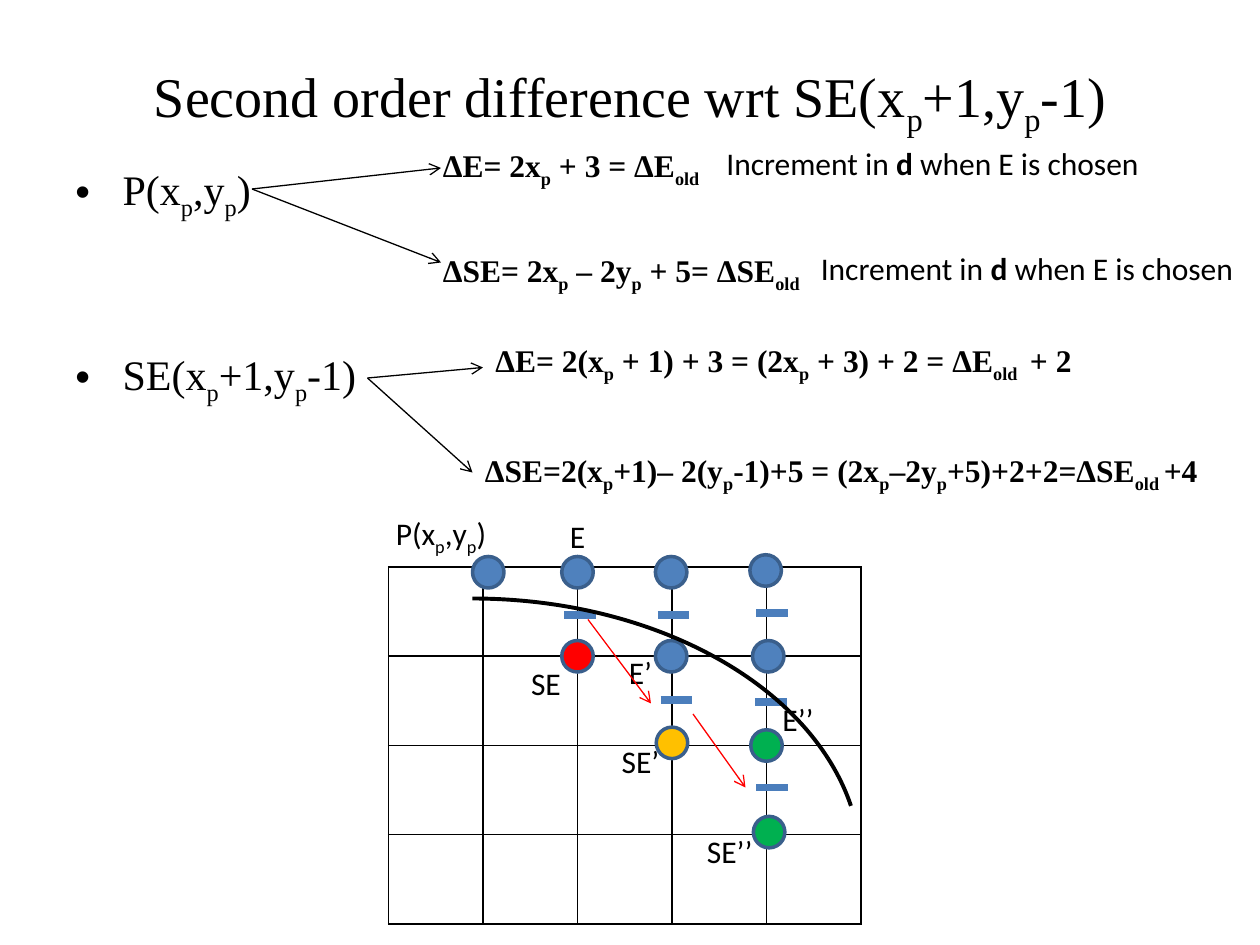
from lxml import etree
from pptx import Presentation
from pptx import util as u
from pptx.dml.color import RGBColor
from pptx.enum import shapes, text
from pptx.oxml.ns import qn

SERIF, SANS = "Times New Roman", "Calibri"
BLACK, BLUE, RED, GREEN, AMBER = "000000", "4F81BD", "FF0000", "00B050", "FFC000"
OUTLINE, TICK = "3A5F8C", "4B7EBC"

# Content: pieces between bars are subscripts, or bold in the notes
TITLE = "Second order difference wrt SE(x|p|+1,y|p|-1)"
POINTS = ["P(x|p|,y|p|)", "SE(x|p|+1,y|p|-1)"]
FORMULAS = [  # left, top, width, height, text
    (246, 78, 300, 36, "ΔE= 2x|p| + 3 = ΔE|old|"),
    (246, 138, 306, 36, "ΔSE= 2x|p| – 2y|p| + 5= ΔSE|old|"),
    (276, 192, 432, 30, "ΔE= 2(x|p| + 1) + 3 = (2x|p| + 3) + 2 = ΔE|old | + 2"),
    (270, 246, 450, 48,
     "ΔSE=2(x|p|+1)– 2(y|p|-1)+5 = (2x|p|–2y|p|+5)+2+2=ΔSE|old |+4"),
]
NOTE = "Increment in |d| when E is chosen"
NOTES = [(408, 72, 276, 42), (462, 132, 258, 42)]
LABELS = [
    (210, 294, 84, 24, "P(x|p|,y|p|)"),
    (318, 294, 24, 24, "E"),
    (294, 378, 36, 24, "SE"),
    (348, 372, 36, 24, "E’"),
    (348, 420, 36, 30, "SE’"),
    (438, 396, 36, 30, "E’’"),
    (396, 474, 42, 24, "SE’’"),
]
BRANCHES = [  # start point, end points
    ((144, 108), [(252, 96), (252, 150)]),
    ((210, 216), [(276, 210), (270, 270)]),
]
STEPS = [((336, 354), (372, 402)), ((396, 408), (426, 450))]
DOTS = [  # left, top, fill
    (270, 318, BLUE), (321, 318, BLUE), (321, 366, RED),
    (374.5, 318, BLUE), (374.5, 366, BLUE), (375, 415.5, AMBER),
    (428.5, 317, BLUE), (430, 366, BLUE), (429, 417, GREEN), (430.5, 466.5, GREEN),
]
TICKS = [(322.5, 351.5), (376, 351.5), (377.5, 400), (432, 350.5), (431.5, 401), (432, 450)]
MARK = 18  # dot diameter and tick length
ROWS, COLUMNS = 4, 5


def color(value):
    return RGBColor.from_string(value)


def points(*values):
    return [u.Pt(value) for value in values]


def write(para, content, size, font, bold=False, accent="subscript"):
    for index, piece in enumerate(content.split("|")):
        if not piece:
            continue
        span = para.add_run()
        span.text = piece
        if index % 2 and accent == "bold":
            span.font.bold = True
        elif index % 2:
            span.font._element.set("baseline", "-25000")
    para.font.size = u.Pt(size)
    para.font.name = font
    para.font.color.rgb = color(BLACK)
    if bold:
        para.font.bold = True


def add_box(left, top, width, height, anchor=text.MSO_ANCHOR.MIDDLE, wrap=True):
    frame = slide.shapes.add_textbox(*points(left, top, width, height)).text_frame
    frame.word_wrap = wrap
    frame.vertical_anchor = anchor
    return frame


def add_line(start, end, stroke, weight, arrow=False):
    line = slide.shapes.add_connector(
        shapes.MSO_CONNECTOR.STRAIGHT, *points(*start, *end))
    line.line.color.rgb = color(stroke)
    line.line.width = u.Pt(weight)
    properties = line._element.spPr
    if arrow:
        etree.SubElement(properties.find(qn("a:ln")), qn("a:tailEnd"), type="arrow")
    etree.SubElement(properties, qn("a:effectLst"))


def add_borders(cell):
    properties = cell._tc.get_or_add_tcPr()
    for position, side in enumerate(("lnL", "lnR", "lnT", "lnB")):
        border = etree.Element(qn("a:" + side), w=str(u.Pt(1)))
        fill = etree.SubElement(border, qn("a:solidFill"))
        etree.SubElement(fill, qn("a:srgbClr"), val=BLACK)
        properties.insert(position, border)


deck = Presentation()
deck.slide_width, deck.slide_height = points(720, 540)
slide = deck.slides.add_slide(deck.slide_layouts[6])

# Title
para = add_box(36, 12, 648, 90).paragraphs[0]
para.alignment = text.PP_ALIGN.CENTER
write(para, TITLE, 32, SERIF)

# Bulleted points
frame = add_box(36, 90, 648, 392, text.MSO_ANCHOR.TOP)
for index, content in enumerate(POINTS):
    para = frame.add_paragraph() if index else frame.paragraphs[0]
    properties = para._p.get_or_add_pPr()
    properties.set("marL", str(u.Pt(27)))
    properties.set("indent", str(u.Pt(-27)))
    if index:
        para.space_before = u.Pt(73)
    etree.SubElement(properties, qn("a:buFont"), typeface="Arial")
    etree.SubElement(properties, qn("a:buChar"), char="•")
    write(para, content, 24, SERIF)

# Formulas, notes and the arrows that branch to them
for *place, content in FORMULAS:
    write(add_box(*place).paragraphs[0], content, 18, SERIF, bold=True)
for place in NOTES:
    write(add_box(*place).paragraphs[0], NOTE, 18, SANS, accent="bold")
for start, ends in BRANCHES:
    for end in ends:
        add_line(start, end, BLACK, 0.75, arrow=True)

# Pixel grid
grid = slide.shapes.add_table(ROWS, COLUMNS, *points(222, 324, 270, 204)).table
grid.first_row = grid.horz_banding = False
for cell in grid.iter_cells():
    cell.fill.background()
    add_borders(cell)

# Midpoint ticks and pixel dots
for left, y in TICKS:
    add_line((left, y), (left + MARK, y), TICK, 4.5)
for left, top, fill in DOTS:
    dot = slide.shapes.add_shape(
        shapes.MSO_SHAPE.OVAL, *points(left, top, MARK, MARK))
    dot.shadow.inherit = False
    dot.fill.solid()
    dot.fill.fore_color.rgb = color(fill)
    dot.line.color.rgb = color(OUTLINE)
    dot.line.width = u.Pt(2)

# Labels and step arrows
for *place, content in LABELS:
    para = add_box(*place, wrap=False).paragraphs[0]
    para.alignment = text.PP_ALIGN.CENTER
    write(para, content, 18, SANS)
for start, end in STEPS:
    add_line(start, end, RED, 0.75, arrow=True)

# Curve
curve = slide.shapes.add_shape(shapes.MSO_SHAPE.ARC, *points(48, 342, 444, 306))
curve.adjustments[0], curve.adjustments[1] = 162, 210.56
curve.shadow.inherit = False
curve.fill.background()
curve.line.color.rgb = color(BLACK)
curve.line.width = u.Pt(2.25)

deck.save("out.pptx")
